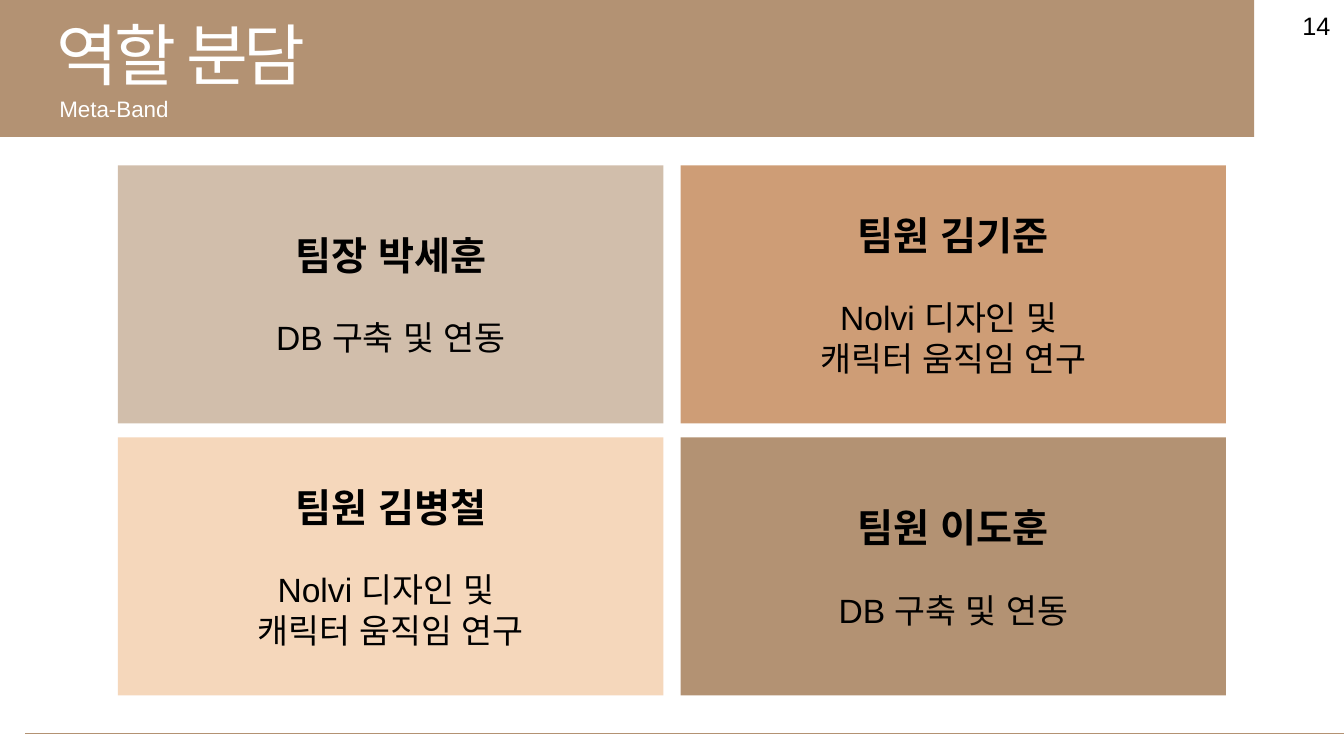
from pptx import Presentation
from pptx.dml.color import RGBColor
from pptx.enum.shapes import MSO_CONNECTOR, MSO_SHAPE
from pptx.enum.text import MSO_ANCHOR, MSO_AUTO_SIZE, PP_ALIGN
from pptx.oxml.ns import qn
from pptx.util import Inches, Pt
from lxml.etree import SubElement

HUES = {"band": "B39273", "sand": "D1BEAB", "clay": "CE9D76",
        "peach": "F5D7BB", "white": "FFFFFF", "black": "000000"}
DESIGN = ["Nolvi 디자인 및 ", "캐릭터 움직임 연구"]
DATA = ["DB 구축 및 연동"]
TEAM = [("팀장 박세훈", DATA, "sand"), ("팀원 김기준", DESIGN, "clay"),
        ("팀원 김병철", DESIGN, "peach"), ("팀원 이도훈", DATA, "band")]


def tint(name):
    """Return the named colour."""
    return RGBColor.from_string(HUES[name])


def place(shape, box):
    """Move a shape to a box given in inches."""
    for key, size in zip(("left", "top", "width", "height"), box):
        setattr(shape, key, Inches(size))


def write(para, text, size, hue="black", bold=False, align=PP_ALIGN.CENTER):
    """Fill a paragraph with one formatted run."""
    para.alignment = align
    run = para.add_run()
    run.text = text
    run.font.color.rgb = tint(hue)
    for key, value in {"name": "Arial", "size": Pt(size), "bold": bold}.items():
        setattr(run.font, key, value)


def block(slide, box, hue):
    """Add a plain filled rectangle."""
    shape = slide.shapes.add_shape(MSO_SHAPE.RECTANGLE, *map(Inches, box))
    shape.shadow.inherit = False
    shape.fill.solid()
    shape.fill.fore_color.rgb = tint(hue)
    shape.line.fill.background()
    return shape


def label(shape, text, size, hue, align, wrap=False):
    """Write one line into a text shape."""
    frame = shape.text_frame
    look = {"word_wrap": wrap, "auto_size": MSO_AUTO_SIZE.SHAPE_TO_FIT_TEXT,
            "vertical_anchor": MSO_ANCHOR.TOP}
    for key, value in look.items():
        setattr(frame, key, value)
    write(frame.paragraphs[0], text, size, hue, align=align)


def header(slide, box):
    """Draw the band with its title and subtitle."""
    left, top = box[:2]
    band = block(slide, box, "band")
    title = slide.shapes.title
    band.element.addnext(title.element)
    place(title, (left + 0.46, top + 0.08, 2.87, 0.91))
    label(title, "역할 분담", 48, "white", PP_ALIGN.LEFT)
    for props in title.element.iter(qn("a:rPr")):
        props.set("spc", "-300")
    note = slide.shapes.add_textbox(
        *map(Inches, (left + 0.49, top + 0.89, 1.3, 0.37)))
    label(note, "Meta-Band", 16, "white", PP_ALIGN.LEFT)


def card(slide, box, name, tasks, hue):
    """Draw one member's card."""
    frame = block(slide, box, hue).text_frame
    frame.word_wrap = True
    frame.vertical_anchor = MSO_ANCHOR.MIDDLE
    head = frame.paragraphs[0]
    head.space_after = Pt(28)
    write(head, name, 28, bold=True)
    for task in tasks:
        write(frame.add_paragraph(), task, 24)


def grid(slide, box):
    """Lay the team cards out in two columns."""
    left, top, width, height = box
    wide, high = 5.41, 2.56
    for spot, member in enumerate(TEAM):
        row, col = divmod(spot, 2)
        card(slide, (left + col * (width - wide), top + row * (height - high),
                     wide, high), *member)


def footer(slide, box):
    """Draw the bottom rule."""
    left, top, width, height = box
    rule = slide.shapes.add_connector(
        MSO_CONNECTOR.STRAIGHT,
        *map(Inches, (left, top, left + width, top + height)))
    rule.line.color.rgb = tint("band")
    rule.line.width = Pt(0.5)
    SubElement(rule.element.spPr, qn("a:effectLst"))


def number(slide, box):
    """Write the page number."""
    page = slide.shapes.add_textbox(*map(Inches, box))
    label(page, "14", 18, "black", PP_ALIGN.CENTER, wrap=True)


def hangul(slide):
    """Set the East Asian font of every run."""
    for props in slide.element.iter(qn("a:rPr")):
        SubElement(props, qn("a:ea"), typeface="Arial")


def main():
    """Build and save the slide."""
    deck = Presentation()
    deck.slide_width, deck.slide_height = Inches(13.33), Inches(7.5)
    slide = deck.slides.add_slide(deck.slide_layouts[5])
    header(slide, (0, 0, 12.44, 1.36))
    footer(slide, (0.25, 7.28, 13.08, 0))
    grid(slide, (1.17, 1.64, 10.99, 5.26))
    number(slide, (12.78, 0.05, 0.55, 0.4))
    hangul(slide)
    deck.save("out.pptx")


if __name__ == "__main__":
    main()
